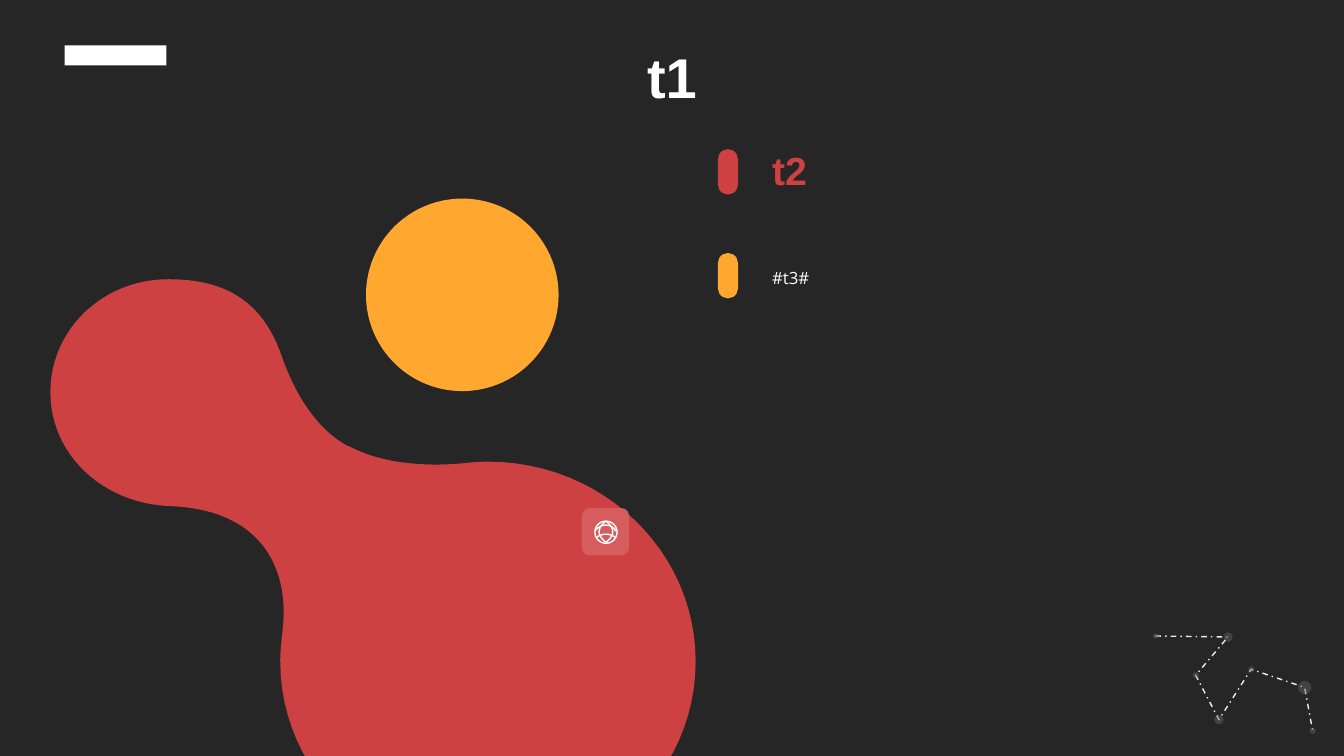
from lxml import etree
from pptx import Presentation
from pptx.dml.color import RGBColor
from pptx.enum.dml import MSO_LINE_DASH_STYLE as DASH
from pptx.enum.shapes import MSO_SHAPE as SHAPE
from pptx.enum.text import MSO_ANCHOR as ANCHOR, MSO_AUTO_SIZE as AUTO, PP_ALIGN as ALIGN
from pptx.oxml.ns import qn
from pptx.util import Inches, Pt

DARK = RGBColor(0x26, 0x26, 0x26)
INK = RGBColor(0x13, 0x13, 0x13)
SILVER = RGBColor(0xD4, 0xD4, 0xD4)
PALE = RGBColor(0xEC, 0xEC, 0xEC)
WHITE = RGBColor(0xFF, 0xFF, 0xFF)
RED = RGBColor(0xCD, 0x41, 0x42)
ROSE = RGBColor(0xD5, 0x5D, 0x5D)
ORANGE = RGBColor(0xFF, 0xA7, 0x2F)

# Centre x, centre y, diameter of each star, in the order they are linked
STARS = [(11.46, 6.31, 0.05), (12.18, 6.32, 0.09), (11.86, 6.7, 0.06), (12.09, 7.14, 0.09),
         (12.41, 6.64, 0.06), (12.94, 6.82, 0.13), (13.02, 7.25, 0.06)]

# Each curve: start point, then cubic segments (two control points and an end point)
BLOB_START = (4.84, 4.58)
BLOB_CURVES = [
    ((4.74, 4.58), (4.65, 4.59), (4.55, 4.6)),
    ((4.15, 4.63), (3.83, 4.58), (3.6, 4.49)),
    ((3.55, 4.47), (3.49, 4.44), (3.44, 4.42)),
    ((3.08, 4.22), (2.89, 3.8), (2.8, 3.55)),
    ((2.6, 2.95), (2.19, 2.77), (1.67, 2.77)),
    ((1.02, 2.77), (0.5, 3.27), (0.5, 3.89)),
    ((0.5, 4.51), (1.02, 4.99), (1.67, 5.02)),
    ((2.62, 5.05), (2.85, 5.66), (2.81, 6.18)),
    ((2.8, 6.31), (2.78, 6.43), (2.78, 6.56)),
    ((2.78, 7.66), (3.7, 8.55), (4.84, 8.55)),
    ((5.98, 8.55), (6.9, 7.66), (6.9, 6.56)),
    ((6.9, 5.47), (5.98, 4.58), (4.84, 4.58)),
]
GLOBE_ARCS = [
    ((6.01, 5.17), ((5.92, 5.24), (5.92, 5.31), (6.01, 5.38))),
    ((6.01, 5.17), ((6.1, 5.24), (6.1, 5.31), (6.01, 5.38))),
    ((5.9, 5.27), ((5.96, 5.19), (6.06, 5.19), (6.11, 5.27))),
    ((5.92, 5.33), ((5.97, 5.29), (6.05, 5.29), (6.1, 5.33))),
]


def curve_points(start, curves, steps=24):
    """Return points along a chain of cubic Bezier curves."""
    points = [start]
    for c1, c2, end in curves:
        first = points[-1]
        for step in range(1, steps + 1):
            t = step / steps
            u = 1 - t
            points.append(tuple(
                u**3 * a + 3 * u * u * t * b + 3 * u * t * t * c + t**3 * d
                for a, b, c, d in zip(first, c1, c2, end)))
    return points


class SlideBuilder:
    def __init__(self, slide):
        self.slide = slide
        slide.background.fill.solid()
        slide.background.fill.fore_color.rgb = DARK

    def paint(self, shape, fill=None, line=None, alpha=None, dash=None):
        shape.shadow.inherit = False
        if fill is None:
            shape.fill.background()
        else:
            shape.fill.solid()
            shape.fill.fore_color.rgb = fill
        if alpha is not None:
            color = shape.fill._xPr.find(qn("a:solidFill"))[0]
            etree.SubElement(color, qn("a:alpha")).set("val", str(alpha * 1000))
        if line is None:
            shape.line.fill.background()
        else:
            shape.line.color.rgb = line
            shape.line.width = Pt(1)
            if dash:
                shape.line.dash_style = dash
        return shape

    def preset(self, kind, left, top, width, height, **style):
        shape = self.slide.shapes.add_shape(
            kind, Inches(left), Inches(top), Inches(width), Inches(height))
        return self.paint(shape, **style)

    def pill(self, top, color):
        pill = self.preset(SHAPE.ROUNDED_RECTANGLE, 7.12, top, 0.2, 0.45, fill=color)
        pill.adjustments[0] = 0.5

    def outline(self, points, close=False, **style):
        start, *rest = [(Inches(x), Inches(y)) for x, y in points]
        builder = self.slide.shapes.build_freeform(*start)
        builder.add_line_segments(rest, close=close)
        return self.paint(builder.convert_to_shape(), **style)

    def stars(self, color):
        for x, y, size in STARS:
            self.preset(SHAPE.OVAL, x - size / 2, y - size / 2, size, size,
                        fill=color, alpha=28)

    def text(self, words, left, top, width, height, size, color, font="Arial", bold=True,
             align=ALIGN.LEFT, anchor=ANCHOR.MIDDLE, spacing=None, fit=AUTO.SHAPE_TO_FIT_TEXT):
        frame = self.slide.shapes.add_textbox(
            Inches(left), Inches(top), Inches(width), Inches(height)).text_frame
        frame.word_wrap = True
        frame.auto_size = fit
        frame.vertical_anchor = anchor
        paragraph = frame.paragraphs[0]
        paragraph.alignment = align
        if spacing:
            paragraph.line_spacing = spacing
        run = paragraph.add_run()
        run.text = words
        run.font.name = font
        run.font.size = Pt(size)
        run.font.bold = bold
        run.font.color.rgb = color


def main():
    deck = Presentation()
    deck.slide_width = Inches(13.33)
    deck.slide_height = Inches(7.5)
    page = SlideBuilder(deck.slides.add_slide(deck.slide_layouts[6]))

    page.stars(SILVER)
    page.preset(SHAPE.RECTANGLE, 0.64, 0.45, 1.01, 0.2, fill=WHITE)
    page.outline([(x, y) for x, y, _ in STARS], line=PALE, dash=DASH.DASH_DOT)
    page.stars(INK)

    page.outline(curve_points(BLOB_START, BLOB_CURVES), close=True, fill=RED)
    page.preset(SHAPE.OVAL, 3.63, 1.97, 1.91, 1.91, fill=ORANGE)

    page.text("t1", 2.54, 0.31, 8.25, 0.89, 40, WHITE, align=ALIGN.CENTER, fit=AUTO.NONE)
    page.pill(1.48, RED)
    page.text("t2", 7.56, 1.4, 5.28, 0.57, 28, RED)
    page.pill(2.51, ORANGE)
    page.text("#t3#", 7.56, 2.51, 5.28, 0.37, 12, WHITE, font="Open Sans", bold=False,
              anchor=ANCHOR.TOP, spacing=1.5)

    page.preset(SHAPE.ROUNDED_RECTANGLE, 5.77, 5.04, 0.47, 0.47, fill=ROSE)
    page.preset(SHAPE.OVAL, 5.9, 5.17, 0.22, 0.22, line=WHITE)
    for start, arc in GLOBE_ARCS:
        page.outline(curve_points(start, [arc]), line=WHITE)

    deck.save("out.pptx")


if __name__ == "__main__":
    main()
